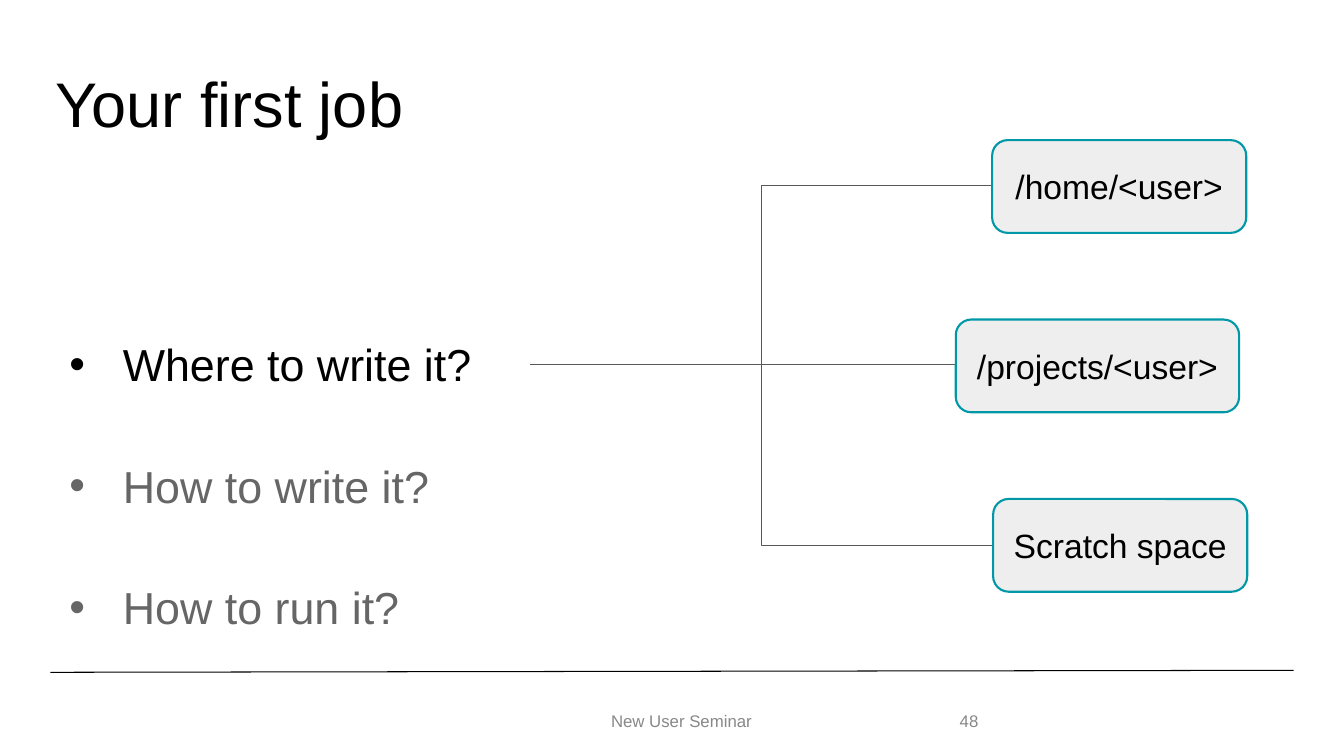
from pptx import Presentation
from pptx.dml.color import RGBColor
from pptx.enum.shapes import MSO_CONNECTOR as Link, MSO_SHAPE as Shape
from pptx.enum.text import MSO_ANCHOR as Anchor, PP_ALIGN as Align
from pptx.oxml.ns import qn
from pptx.util import Inches, Pt
from lxml.etree import SubElement

BLACK = RGBColor(0, 0, 0)
GREY = RGBColor(0x66, 0x66, 0x66)
PALE = RGBColor(0x88, 0x88, 0x88)
WIRE = RGBColor(0x59, 0x59, 0x59)
TEAL = RGBColor(0x00, 0x97, 0xA7)
FILL = RGBColor(0xEE, 0xEE, 0xEE)


def write(par, text, size=12, color=BLACK, align=None, lead=None, before=None,
          bullet=False):
    """Put text in a paragraph and format it."""
    if bullet:
        props = par._p.get_or_add_pPr()
        props.set("marL", str(Inches(0.67)))
        props.set("indent", str(Inches(-0.53)))
        tint = SubElement(props, qn("a:buClr"))
        SubElement(tint, qn("a:srgbClr")).set("val", str(color))
        SubElement(props, qn("a:buFont")).set("typeface", "Arial")
        SubElement(props, qn("a:buChar")).set("char", "•")
    par.alignment = align
    par.line_spacing = lead
    par.space_before = before
    run = par.add_run()
    run.text = text
    run.font.name = "Arial"
    run.font.size = Pt(size)
    run.font.color.rgb = color


class Page:
    def __init__(self, slide):
        self.shapes = slide.shapes

    def text(self, spot, words, anchor=Anchor.MIDDLE, **style):
        frame = self.shapes.add_textbox(*map(Inches, spot)).text_frame
        frame.word_wrap = True
        frame.vertical_anchor = anchor
        write(frame.paragraphs[0], words, **style)
        return frame

    def line(self, start, end, color=WIRE, kind=Link.STRAIGHT):
        line = self.shapes.add_connector(kind, *map(Inches, start + end))
        line.line.color.rgb = color
        line.line.width = Pt(0.75)
        SubElement(line._element.spPr, qn("a:effectLst"))

    def box(self, spot, label):
        box = self.shapes.add_shape(Shape.ROUNDED_RECTANGLE, *map(Inches, spot))
        box.shadow.inherit = False
        box.fill.solid()
        box.fill.fore_color.rgb = FILL
        box.line.color.rgb = TEAL
        box.line.width = Pt(1.5)
        frame = box.text_frame
        frame.word_wrap = True
        frame.vertical_anchor = Anchor.MIDDLE
        frame.margin_left = frame.margin_right = Inches(0.13)
        frame.margin_top = frame.margin_bottom = Inches(0.13)
        write(frame.paragraphs[0], label, size=24, align=Align.CENTER)


def main():
    deck = Presentation()
    deck.slide_width, deck.slide_height = Inches(13.33), Inches(7.5)
    page = Page(deck.slides.add_slide(deck.slide_layouts[6]))

    # Footer rule and title
    page.line((0.5, 6.67), (12.83, 6.65), color=BLACK)
    page.text((0.45, 0.65, 12.42, 0.83), "Your first job", size=45, lead=0.9)

    # Questions
    style = dict(size=32, lead=2.0, bullet=True)
    body = page.text((0.45, 2.76, 5.13, 3.89), "Where to write it?",
                     anchor=Anchor.TOP, **style)
    for ask in ("How to write it?", "How to run it?"):
        write(body.add_paragraph(), ask, color=GREY, before=Pt(10), **style)

    # Footer
    page.text((4.51, 6.95, 4.5, 0.4), "New User Seminar", color=PALE,
              align=Align.CENTER)
    page.text((9.42, 6.95, 0.75, 0.4), "48", color=PALE)

    # Links from the first question to the places
    root = (5.26, 3.62)
    page.line(root, (9.48, 3.62))
    for end in ((9.84, 1.84), (9.85, 5.41)):
        page.line(root, end, kind=Link.ELBOW)

    # Places, evenly spaced down the slide
    places = (("/home/<user>", 9.84, 2.52),
              ("/projects/<user>", 9.48, 2.81),
              ("Scratch space", 9.85, 2.52))
    for row, (label, left, width) in enumerate(places):
        page.box((left, 1.39 + 1.78 * row, width, 0.92), label)

    deck.save("out.pptx")


if __name__ == "__main__":
    main()
